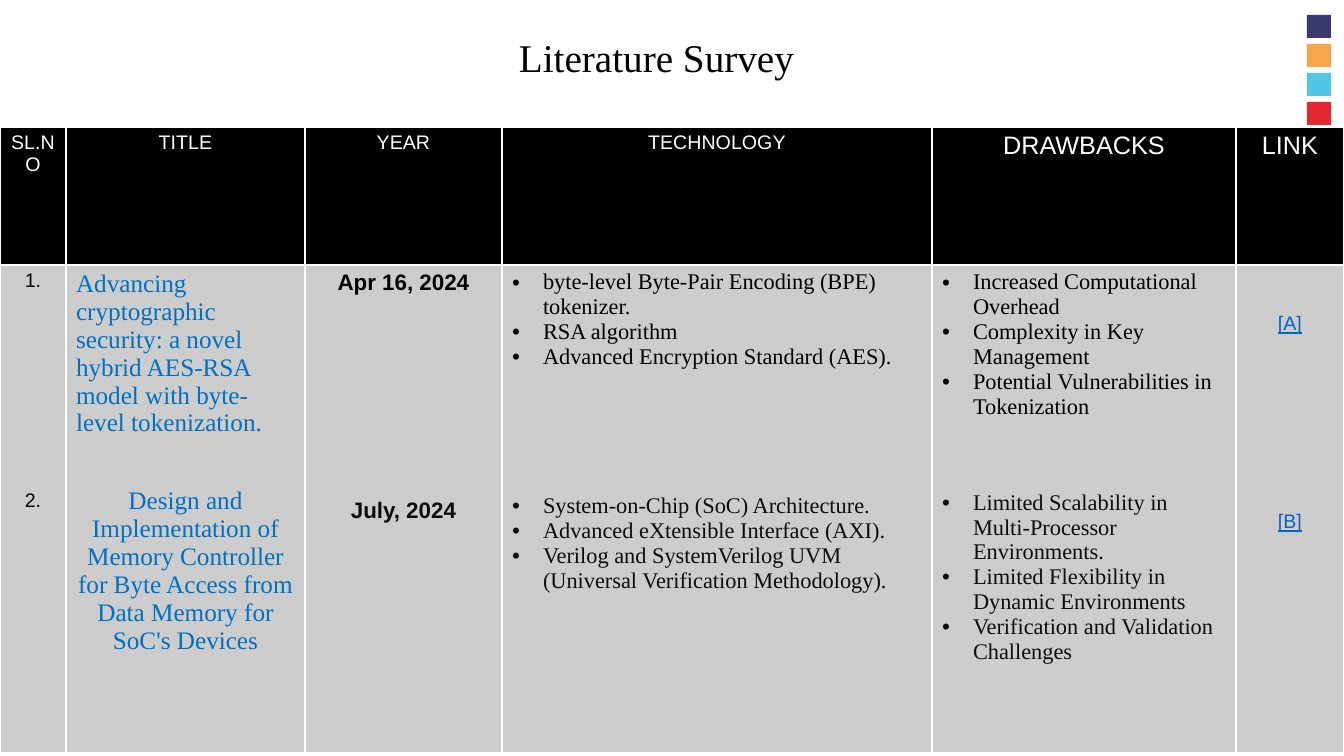
from dataclasses import dataclass

from lxml import etree
from pptx import Presentation
from pptx.dml.color import RGBColor
from pptx.enum.shapes import MSO_SHAPE
from pptx.enum.text import PP_ALIGN
from pptx.oxml.ns import qn
from pptx.util import Emu, Pt

EMU_PER_PX = 914400 / 100.8
CENTER, LEFT = PP_ALIGN.CENTER, PP_ALIGN.LEFT
RECTANGLE = MSO_SHAPE.RECTANGLE
SANS, SERIF = "Arial", "Times New Roman"
BLACK, NEAR_BLACK, WHITE = "000000", "0D0D0D", "FFFFFF"
GREY, TITLE_BLUE, LINK_BLUE = "CCCCCC", "0070C0", "0563C1"
BULLET_INDENT = 31
SWATCH_COLOURS = ["3A3A70", "F7A54B", "51C6E7", "E12730"]
SWATCH_LEFT, SWATCH_TOP, SWATCH_PITCH = 1307, 15, 29
SWATCH_WIDTH, SWATCH_HEIGHT = 24, 23
TABLE_TOP = 127
ROW_HEIGHTS = [138, 488]


@dataclass(frozen=True)
class Style:
    size: int
    font: str = SANS
    colour: str = BLACK
    align: PP_ALIGN = CENTER
    bold: bool = False
    underline: bool = False
    bullet: bool = False


@dataclass(frozen=True)
class Entry:
    """The lines one paper has in a column; gap is the space above them."""
    lines: list[str]
    style: Style
    gap: int = 0


@dataclass(frozen=True)
class Column:
    heading: str
    heading_size: int
    width: int
    entries: list[Entry]
    top_margin: int = 5


NUMBER = Style(14)
PAPER = Style(18, SERIF, TITLE_BLUE, LEFT)
PAPER_CENTERED = Style(18, SERIF, TITLE_BLUE)
DATE = Style(16, bold=True)
DATE_SOFT = Style(16, colour=NEAR_BLACK, bold=True)
POINT = Style(16, SERIF, BLACK, LEFT, bullet=True)
POINT_SOFT = Style(16, SERIF, NEAR_BLACK, LEFT, bullet=True)
REFERENCE = Style(14, colour=LINK_BLUE, underline=True)

COLUMNS = [
    Column("SL.NO", 14, 66, [Entry(["1."], NUMBER), Entry(["2."], NUMBER, 198)]),
    Column("TITLE", 14, 239, [
        Entry(["Advancing cryptographic security: a novel hybrid AES-RSA "
               "model with byte-level tokenization."], PAPER),
        Entry(["Design and Implementation of Memory Controller for Byte Access "
               "from Data Memory for SoC's Devices"], PAPER_CENTERED, 50),
    ]),
    Column("YEAR", 14, 197, [
        Entry(["Apr 16, 2024"], DATE),
        Entry(["July, 2024"], DATE_SOFT, 204),
    ]),
    Column("TECHNOLOGY", 14, 430, [
        Entry(["byte-level Byte-Pair Encoding (BPE) tokenizer.",
               "RSA algorithm",
               "Advanced Encryption Standard (AES)."], POINT),
        Entry(["System-on-Chip (SoC) Architecture.",
               "Advanced eXtensible Interface (AXI).",
               "Verilog and SystemVerilog UVM (Universal Verification "
               "Methodology)."], POINT_SOFT, 124),
    ]),
    Column("DRAWBACKS", 18, 304, [
        Entry(["Increased Computational Overhead",
               "Complexity in Key Management",
               "Potential Vulnerabilities in Tokenization"], POINT),
        Entry(["Limited Scalability in Multi-Processor Environments.",
               "Limited Flexibility in Dynamic Environments",
               "Verification and Validation Challenges"], POINT_SOFT, 71),
    ]),
    Column("LINK", 18, 108, [
        Entry(["[A]"], REFERENCE),
        Entry(["[B]"], REFERENCE, 176),
    ], top_margin=48),
]


def px(length: int) -> Emu:
    return Emu(round(length * EMU_PER_PX))


def rgb(colour: str) -> RGBColor:
    return RGBColor.from_string(colour)


def write_line(paragraph, text: str, style: Style, gap: int = 0) -> None:
    paragraph.text = text
    paragraph.alignment = style.align
    if gap:
        paragraph.space_before = px(gap)
    if style.bullet:
        properties = paragraph._p.get_or_add_pPr()
        properties.set("marL", str(px(BULLET_INDENT)))
        properties.set("indent", str(-px(BULLET_INDENT)))
        face = etree.SubElement(properties, qn("a:buFont"))
        face.set("typeface", SANS)
        etree.SubElement(properties, qn("a:buChar")).set("char", "•")
    font = paragraph.font
    font.size, font.name = Pt(style.size), style.font
    font.bold, font.underline = style.bold, style.underline
    font.color.rgb = rgb(style.colour)


def write_entries(text_frame, entries: list[Entry]) -> None:
    paragraph = text_frame.paragraphs[0]
    for entry_index, entry in enumerate(entries):
        for line_index, line in enumerate(entry.lines):
            if entry_index or line_index:
                paragraph = text_frame.add_paragraph()
            write_line(paragraph, line, entry.style, 0 if line_index else entry.gap)


def paint_cell(cell, colour: str) -> None:
    """Give the cell thin white borders and a solid fill."""
    properties = cell._tc.get_or_add_tcPr()
    for side in ("lnL", "lnR", "lnT", "lnB"):
        border = etree.SubElement(properties, qn(f"a:{side}"))
        border.set("w", str(Pt(1)))
        solid = etree.SubElement(border, qn("a:solidFill"))
        etree.SubElement(solid, qn("a:srgbClr")).set("val", WHITE)
    cell.fill.solid()
    cell.fill.fore_color.rgb = rgb(colour)


def add_swatches(slide) -> None:
    for index, colour in enumerate(SWATCH_COLOURS):
        swatch = slide.shapes.add_shape(
            RECTANGLE, px(SWATCH_LEFT), px(SWATCH_TOP + index * SWATCH_PITCH),
            px(SWATCH_WIDTH), px(SWATCH_HEIGHT))
        swatch.shadow.inherit = False
        swatch.fill.solid()
        swatch.fill.fore_color.rgb = rgb(colour)
        swatch.line.fill.background()


def add_title(slide) -> None:
    title = slide.shapes.add_textbox(px(411), px(24), px(491), px(40)).text_frame
    title.word_wrap = True
    title.margin_left = title.margin_right = title.margin_bottom = 0
    title.margin_top = px(9)
    write_line(title.paragraphs[0], "Literature Survey", Style(28, SERIF))


def add_survey(slide) -> None:
    survey = slide.shapes.add_table(
        len(ROW_HEIGHTS), len(COLUMNS), 0, px(TABLE_TOP),
        px(sum(column.width for column in COLUMNS)), px(sum(ROW_HEIGHTS))).table
    survey.first_row = survey.horz_banding = False
    for row, height in zip(survey.rows, ROW_HEIGHTS):
        row.height = px(height)
    for index, column in enumerate(COLUMNS):
        survey.columns[index].width = px(column.width)
        heading, body = survey.cell(0, index), survey.cell(1, index)
        paint_cell(heading, BLACK)
        paint_cell(body, GREY)
        body.margin_top = px(column.top_margin)
        write_line(heading.text_frame.paragraphs[0], column.heading,
                   Style(column.heading_size, colour=WHITE))
        write_entries(body.text_frame, column.entries)


def main() -> None:
    presentation = Presentation()
    presentation.slide_width, presentation.slide_height = px(1344), px(756)
    slide = presentation.slides.add_slide(presentation.slide_layouts[6])
    add_swatches(slide)
    add_title(slide)
    add_survey(slide)
    presentation.save("out.pptx")


if __name__ == "__main__":
    main()
